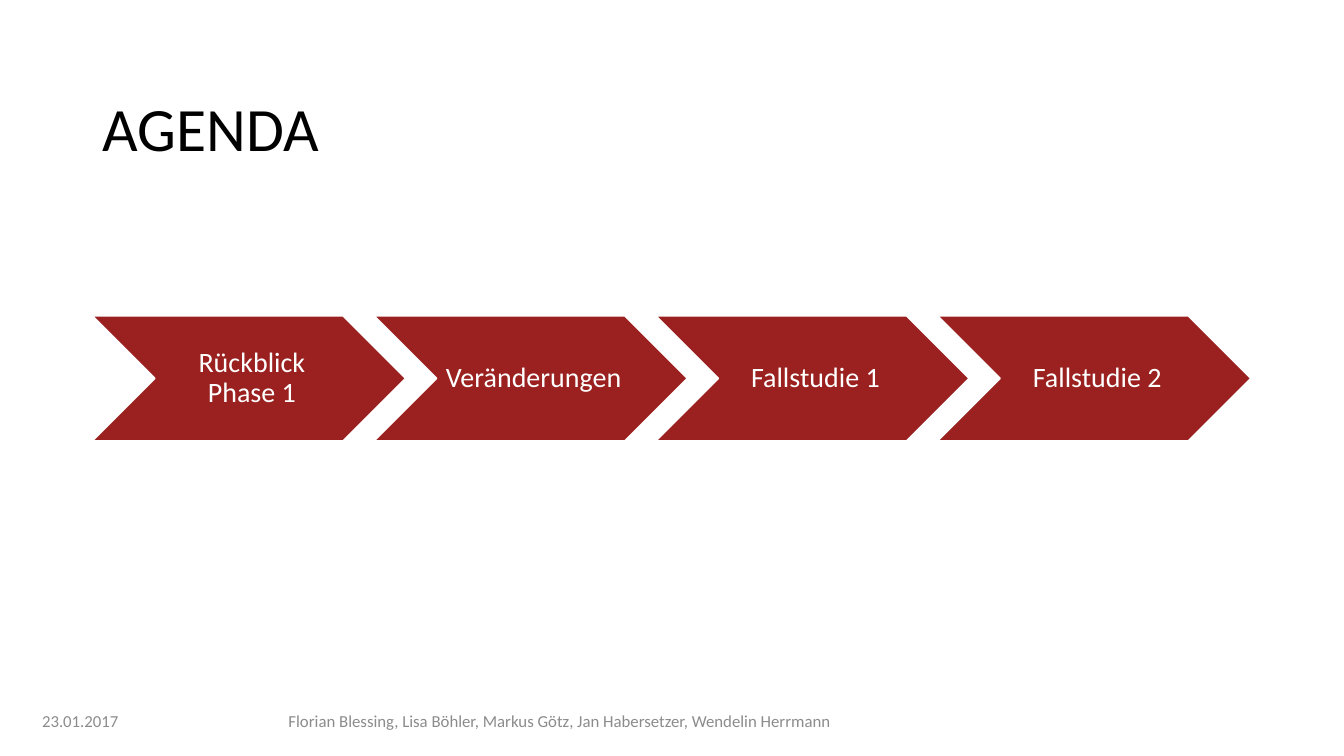
"""Build the agenda slide with a row of four chevron steps."""
from pptx import Presentation
from pptx.dml.color import RGBColor
from pptx.enum.shapes import MSO_SHAPE as SHAPE
from pptx.enum.text import MSO_ANCHOR as ANCHOR, PP_ALIGN as ALIGN
from pptx.util import Cm, Pt

BLACK = RGBColor(0x00, 0x00, 0x00)
WHITE = RGBColor(0xFF, 0xFF, 0xFF)
GREY = RGBColor(0x8C, 0x8C, 0x8C)
RED = RGBColor(0x9A, 0x21, 0x20)
FONT = "Calibri"

TITLE = "AGENDA"
STEPS = ["Rückblick\vPhase 1", "Veränderungen", "Fallstudie 1", "Fallstudie 2"]
DATE = "23.01.2017"
AUTHORS = "Florian Blessing, Lisa Böhler, Markus Götz, Jan Habersetzer, Wendelin Herrmann"

LEFT, STEP_TOP = 2.33, 7.96
STEP_W, STEP_H = 7.89, 3.15
STEP_PITCH = STEP_W * 0.9
FOOT_TOP, FOOT_H = 17.65, 1.01


def set_text(sp, text, size, color, align=ALIGN.LEFT, spacing=1.0):
    tf = sp.text_frame
    tf.word_wrap = True
    tf.vertical_anchor = ANCHOR.MIDDLE
    p = tf.paragraphs[0]
    p.text = text
    p.alignment = align
    p.line_spacing = spacing
    p.font.name = FONT
    p.font.size = Pt(size)
    p.font.color.rgb = color
    return tf


def add_text(s, box, *style):
    return set_text(s.shapes.add_textbox(*map(Cm, box)), *style)


def add_step(s, index, label):
    left = LEFT + index * STEP_PITCH
    sp = s.shapes.add_shape(SHAPE.CHEVRON, Cm(left), Cm(STEP_TOP), Cm(STEP_W), Cm(STEP_H))
    sp.shadow.inherit = False
    sp.fill.solid()
    sp.fill.fore_color.rgb = RED
    sp.line.color.rgb = WHITE
    sp.line.width = Pt(1)
    tf = set_text(sp, label, 20, WHITE, ALIGN.CENTER, 0.9)
    tf.margin_left = Cm(0.15)
    tf.margin_right = Cm(0)
    tf.margin_top = tf.margin_bottom = Cm(0.07)


def main():
    prs = Presentation()
    prs.slide_width, prs.slide_height = Cm(33.87), Cm(19.05)
    s = prs.slides.add_slide(prs.slide_layouts[6])
    add_text(s, (LEFT, 1.94, 29.21, 2.76), TITLE, 44, BLACK, ALIGN.LEFT, 0.9)
    for i, label in enumerate(STEPS):
        add_step(s, i, label)
    add_text(s, (0.81, FOOT_TOP, 3.05, FOOT_H), DATE, 12, GREY)
    add_text(s, (5.59, FOOT_TOP, 17.04, FOOT_H), AUTHORS, 12, GREY, ALIGN.CENTER)
    prs.save("out.pptx")


if __name__ == "__main__":
    main()
